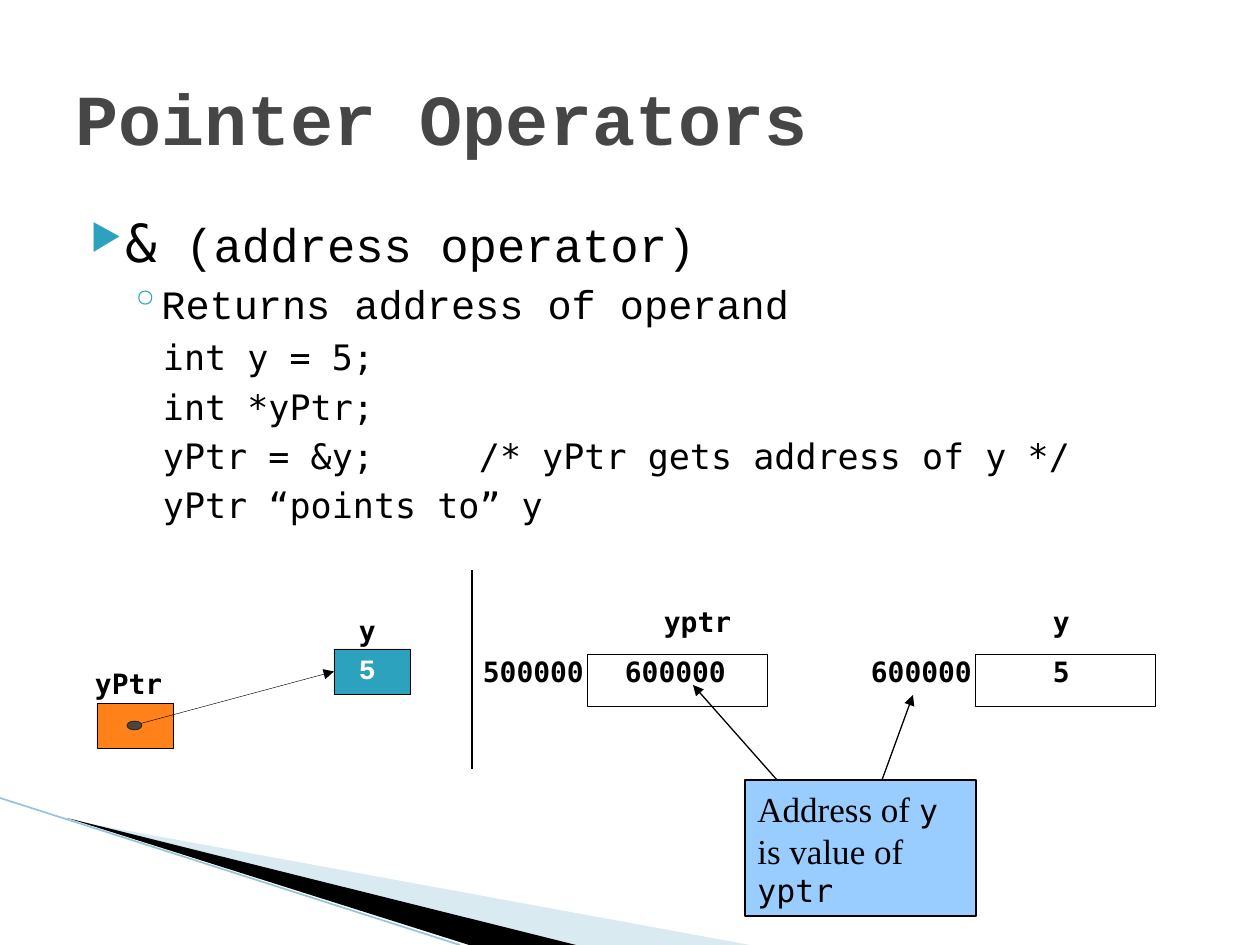
from lxml import etree
from pptx import Presentation
from pptx.dml.color import RGBColor
from pptx.enum.shapes import MSO_CONNECTOR, MSO_SHAPE
from pptx.enum.text import MSO_ANCHOR, PP_ALIGN
from pptx.oxml.ns import qn
from pptx.util import Pt

PX = 914400 / 126
RECT, OVAL = MSO_SHAPE.RECTANGLE, MSO_SHAPE.OVAL
STRAIGHT = MSO_CONNECTOR.STRAIGHT
LEFT, TOP, MIDDLE = PP_ALIGN.LEFT, MSO_ANCHOR.TOP, MSO_ANCHOR.MIDDLE
MONO, COURIER, TIMES = "DejaVu Sans Mono", "Courier New", "Times New Roman"
BLACK, WHITE, GREY, TEAL = "000000", "FFFFFF", "464646", "2DA2BF"

TITLE = "Pointer Operators"
BODY = [
    {"runs": [("&", MONO, 30), (" (address operator)", COURIER, 27)],
     "bullet": "▶", "bullet_size": 68, "margin": 50, "hang": 35, "before": 4},
    {"runs": [("Returns address of operand", COURIER, 23)],
     "bullet": "◦", "bullet_size": 100, "margin": 86, "hang": 32, "before": 3.2},
]
CODE = ["int y = 5;", "int *yPtr;",
        "yPtr = &y;\t/* yPtr gets address of y */", "yPtr “points to” y"]
COMMENT_TAB = 316
CALLOUT = [("Address of ", TIMES, 20), ("y", MONO, 18),
           (" is value of ", TIMES, 20), ("yptr", MONO, 18)]

SWOOSHES = [
    ([(69, 820), (750, 945), (575, 945)], "A0CBDC", 40),
    ([(67, 818), (576, 945), (469, 945)], BLACK, 100),
]
POINTER_CELL, VALUE_CELL = (97, 703, 76, 45), (334, 649, 76, 45)
MEMORY_CELLS = [(587, 654, 180, 52), (975, 654, 180, 52)]
DOT = (127, 721, 15, 9)
LABELS = [
    ("yPtr", 95, 675, 79, 26, 0.72, MONO, BLACK),
    ("y", 359, 622, 25, 26, 0.72, MONO, BLACK),
    ("5", 359, 660, 25, 26, 0.72, COURIER, WHITE),
    ("yptr", 664, 611, 71, 40, 0.8, MONO, BLACK),
    ("500000", 483, 661, 103, 40, 0.8, MONO, BLACK),
    ("600000", 625, 661, 103, 40, 0.8, MONO, BLACK),
    ("y", 1053, 611, 21, 40, 0.8, MONO, BLACK),
    ("600000", 871, 661, 103, 40, 0.8, MONO, BLACK),
    ("5", 1053, 661, 21, 40, 0.8, MONO, BLACK),
]
DIVIDER = (472, 570, 472, 769)
CALLOUT_ARROWS = [(882, 780, 913, 695), (777, 780, 693, 685)]


def emu(*lengths):
    return [round(length * PX) for length in lengths]


def rgb(color):
    return RGBColor.from_string(color)


def add_xml(parent, tag, **attributes):
    return etree.SubElement(parent, qn(tag), attributes)


def style_run(run, font, size, color=BLACK, bold=False):
    run.font.name, run.font.size, run.font.bold = font, Pt(size), bold
    run.font.color.rgb = rgb(color)


def add_runs(paragraph, runs):
    paragraph.alignment = LEFT
    for text, font, size in runs:
        run = paragraph.add_run()
        run.text = text
        style_run(run, font, size)


def add_box(shapes, kind, place, fill=None, width=0.25):
    box = shapes.add_shape(kind, *emu(*place))
    box.shadow.inherit = False
    if fill:
        box.fill.solid()
        box.fill.fore_color.rgb = rgb(fill)
    else:
        box.fill.background()
    box.line.color.rgb = rgb(BLACK)
    box.line.width = Pt(width)
    return box


def add_line(shapes, ends, color=BLACK, width=0.75, arrow=False):
    line = shapes.add_connector(STRAIGHT, *emu(*ends))
    line.line.color.rgb = rgb(color)
    line.line.width = Pt(width)
    if arrow:
        add_xml(line.line._get_or_add_ln(), "a:tailEnd", type="triangle")
    add_xml(line._element.spPr, "a:effectLst")
    return line


def add_text(shapes, place, wrap, inset=True):
    frame = shapes.add_textbox(*emu(*place)).text_frame
    frame.word_wrap = wrap
    frame.vertical_anchor = TOP
    if not inset:
        frame.margin_left = frame.margin_right = 0
        frame.margin_top = frame.margin_bottom = 0
    return frame


def add_swoosh(shapes, points, color, opacity):
    builder = shapes.build_freeform(*points[0], scale=PX)
    builder.add_line_segments(points[1:], close=True)
    swoosh = builder.convert_to_shape()
    swoosh.shadow.inherit = False
    swoosh.fill.solid()
    swoosh.fill.fore_color.rgb = rgb(color)
    swoosh.line.fill.background()
    if opacity < 100:
        tint = swoosh._element.spPr.find(qn("a:solidFill"))[0]
        add_xml(tint, "a:alpha", val=str(opacity * 1000))


def add_body(shapes):
    frame = add_text(shapes, (63, 204, 1134, 132), True)
    for level, item in enumerate(BODY):
        paragraph = frame.add_paragraph() if level else frame.paragraphs[0]
        paragraph.level = level
        paragraph.space_before = Pt(item["before"])
        add_runs(paragraph, item["runs"])
        properties = paragraph._p.get_or_add_pPr()
        margin, hang = emu(item["margin"], item["hang"])
        properties.set("marL", str(margin))
        properties.set("indent", str(-hang))
        add_xml(add_xml(properties, "a:buClr"), "a:srgbClr", val=TEAL)
        add_xml(properties, "a:buSzPct", val=str(item["bullet_size"] * 1000))
        add_xml(properties, "a:buChar", char=item["bullet"])


def add_code(shapes):
    frame = add_text(shapes, (163, 336, 1020, 192), True, inset=False)
    frame.text = "\n".join(CODE)
    for paragraph in frame.paragraphs:
        paragraph.space_after = Pt(4.1)
        tabs = add_xml(paragraph._p.get_or_add_pPr(), "a:tabLst")
        add_xml(tabs, "a:tab", pos=str(emu(COMMENT_TAB)[0]), algn="l")
        for run in paragraph.runs:
            style_run(run, MONO, 20)


def main():
    deck = Presentation()
    deck.slide_width, deck.slide_height = emu(1260, 945)
    slide = deck.slides.add_slide(deck.slide_layouts[5])
    shapes = slide.shapes

    for points, color, opacity in SWOOSHES:
        add_swoosh(shapes, points, color, opacity)
    add_line(shapes, (0, 798, 460, 945), "97C5D8", 0.95)

    title = shapes.title
    title.left, title.top, title.width, title.height = emu(63, 38, 1134, 158)
    title.text_frame.text = TITLE
    title.text_frame.vertical_anchor = MIDDLE
    heading = title.text_frame.paragraphs[0]
    heading.alignment = LEFT
    style_run(heading.runs[0], COURIER, 41, GREY, True)

    add_body(shapes)
    add_code(shapes)

    add_box(shapes, RECT, POINTER_CELL, "FF8119")
    value_cell = add_box(shapes, RECT, VALUE_CELL, TEAL)
    pointer = add_line(shapes, (135, 725, 334, 672), width=0.25, arrow=True)
    pointer.end_connect(value_cell, 1)
    add_box(shapes, OVAL, DOT, GREY)
    for cell in MEMORY_CELLS:
        add_box(shapes, RECT, cell)

    for text, left, top, width, height, spacing, font, color in LABELS:
        frame = add_text(shapes, (left, top, width, height), False, inset=False)
        frame.text = text
        frame.paragraphs[0].line_spacing = spacing
        style_run(frame.paragraphs[0].runs[0], font, 16, color, True)

    add_line(shapes, DIVIDER)
    callout = add_box(shapes, RECT, (745, 780, 231, 136), "99CCFF", 0.75)
    callout.text_frame.word_wrap = True
    callout.text_frame.vertical_anchor = MIDDLE
    add_runs(callout.text_frame.paragraphs[0], CALLOUT)
    for arrow in CALLOUT_ARROWS:
        add_line(shapes, arrow, arrow=True)

    deck.save("out.pptx")


if __name__ == "__main__":
    main()
